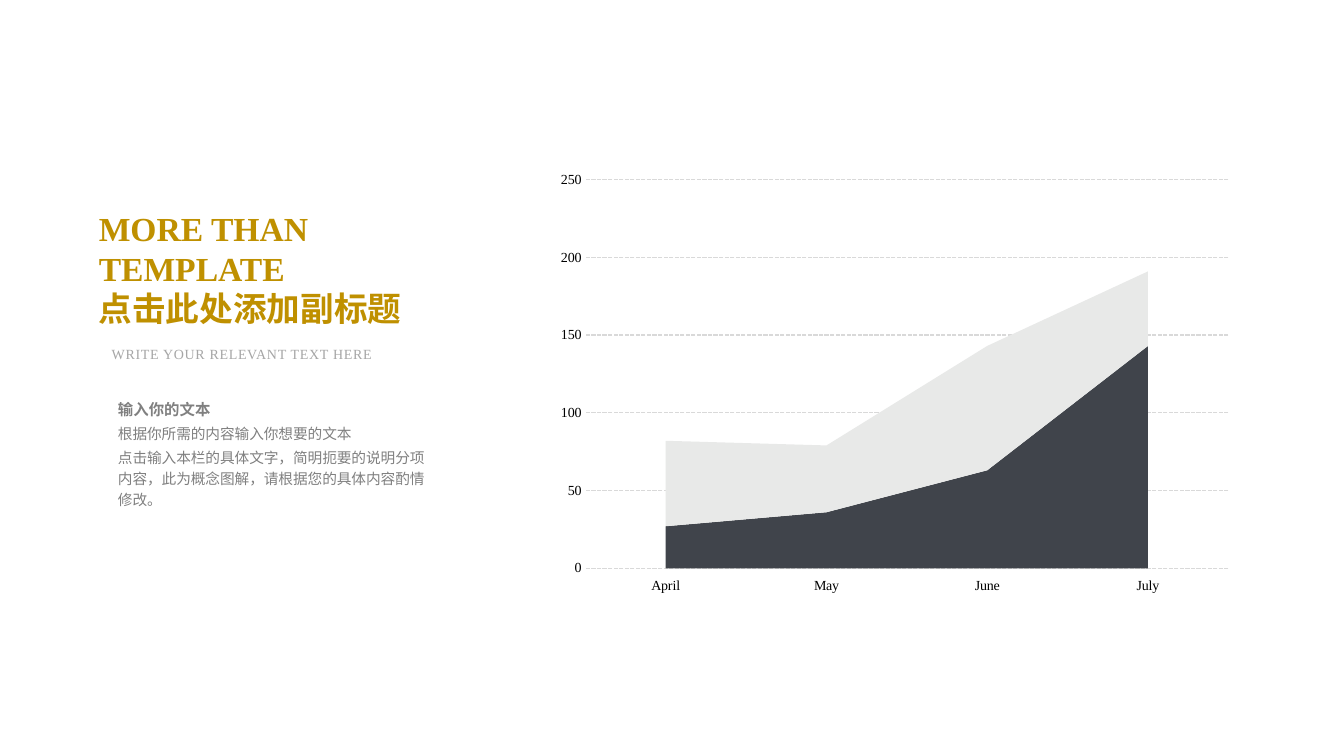
"""Build a slide with a headline, body text and a stacked area chart."""
from dataclasses import dataclass

from lxml.etree import SubElement
from pptx import Presentation
from pptx.chart.chart import Chart
from pptx.chart.data import CategoryChartData
from pptx.dml.color import RGBColor
from pptx.enum.chart import XL_CHART_TYPE, XL_TICK_LABEL_POSITION, XL_TICK_MARK
from pptx.enum.dml import MSO_LINE
from pptx.enum.text import MSO_AUTO_SIZE
from pptx.oxml.ns import qn
from pptx.slide import Slide
from pptx.util import Inches, Pt


@dataclass(frozen=True)
class Theme:
    """Colours, typeface and type sizes of the slide."""
    font: str = "Times New Roman"
    gold: str = "BF9000"
    body: str = "808080"
    pale: str = "A6A6A6"
    ink: str = "000000"
    grid: str = "D9D9D9"
    title_size: float = 24
    lead_size: float = 11
    body_size: float = 10.5
    small_size: float = 10


THEME = Theme()


@dataclass(frozen=True)
class Line:
    """One paragraph with its look."""
    text: str
    size: float
    color: str
    bold: bool = False
    space_before: float = 0
    line_spacing: float = 1
    tracking: int = 0


@dataclass(frozen=True)
class TextBlock:
    """A text box with its place, margins and paragraphs."""
    left: float
    top: float
    width: float
    height: float
    lines: tuple[Line, ...]
    margin_x: float = 0.1
    margin_y: float = 0.05
    wrap: bool = True


@dataclass(frozen=True)
class AreaSeries:
    """One layer of the stacked area chart."""
    name: str
    values: tuple[int, ...]
    color: str


BLOCKS = (
    TextBlock(1.01, 3.38, 2.93, 0.27, (
        Line("WRITE YOUR RELEVANT TEXT HERE", THEME.small_size, THEME.pale, tracking=50),
    ), wrap=False),
    TextBlock(0.85, 1.99, 4.03, 1.35, (
        Line("MORE THAN TEMPLATE", THEME.title_size, THEME.gold, True),
        Line("点击此处添加副标题", THEME.title_size, THEME.gold, True),
    ), 0.13, 0.07),
    TextBlock(1.01, 3.85, 3.42, 1.3, (
        Line("输入你的文本", THEME.lead_size, THEME.body, True, 0, 1.2),
        Line("根据你所需的内容输入你想要的文本", THEME.body_size, THEME.body, False, 2.1, 1.2),
        Line("点击输入本栏的具体文字，简明扼要的说明分项内容，此为概念图解，请根据您的具体内容酌情修改。",
             THEME.body_size, THEME.body, False, 2.1, 1.2),
    ), 0.16, 0.08),
)
MONTHS = ("April", "May", "June", "July")
SERIES = (
    AreaSeries("Series 1", (27, 36, 63, 143), "40444B"),
    AreaSeries("Series 2", (55, 43, 80, 48), "E8E9E8"),
)
PLOT_LAYOUT = {"x": 0.04, "y": 0.02, "w": 0.96, "h": 0.93}


def add_text(page: Slide, block: TextBlock) -> None:
    """Add one text box."""
    box = page.shapes.add_textbox(
        Inches(block.left), Inches(block.top), Inches(block.width), Inches(block.height))
    frame = box.text_frame
    frame.word_wrap = block.wrap
    frame.auto_size = MSO_AUTO_SIZE.SHAPE_TO_FIT_TEXT
    frame.margin_left = frame.margin_right = Inches(block.margin_x)
    frame.margin_top = frame.margin_bottom = Inches(block.margin_y)
    for index, line in enumerate(block.lines):
        para = frame.add_paragraph() if index else frame.paragraphs[0]
        span = para.add_run()
        span.text = line.text
        para.line_spacing = line.line_spacing
        if line.space_before:
            para.space_before = Pt(line.space_before)
        para.font.name = THEME.font
        para.font.size = Pt(line.size)
        para.font.bold = line.bold
        para.font.color.rgb = RGBColor.from_string(line.color)
        if line.tracking:
            span.font._element.set("spc", str(line.tracking))


def set_plot_layout(chart: Chart) -> None:
    """Fix the inner plot area and pad the categories at both ends."""
    plot_area = chart._chartSpace.find(".//" + qn("c:plotArea"))
    layout = plot_area.find(qn("c:layout"))
    if layout is None:
        layout = SubElement(plot_area, qn("c:layout"))
        plot_area.insert(0, layout)
    manual = SubElement(layout, qn("c:manualLayout"))
    settings = {"layoutTarget": "inner", "xMode": "edge", "yMode": "edge", **PLOT_LAYOUT}
    for name, value in settings.items():
        SubElement(manual, qn(f"c:{name}")).set("val", str(value))
    plot_area.find(".//" + qn("c:crossBetween")).set("val", "between")


def add_area_chart(page: Slide) -> None:
    """Add the stacked area chart."""
    data = CategoryChartData()
    data.categories = MONTHS
    for layer in SERIES:
        data.add_series(layer.name, layer.values)
    chart = page.shapes.add_chart(
        XL_CHART_TYPE.AREA_STACKED, Inches(5.54), Inches(1.7), Inches(6.65), Inches(4.19), data).chart
    chart.has_legend = False
    chart.has_title = False
    chart.font.name = THEME.font
    chart.font.size = Pt(THEME.small_size)
    chart.font.color.rgb = RGBColor.from_string(THEME.ink)
    chart.plots[0].vary_by_categories = False
    for layer, series in zip(SERIES, chart.plots[0].series):
        series.format.fill.solid()
        series.format.fill.fore_color.rgb = RGBColor.from_string(layer.color)
        series.format.line.fill.background()
    for axis in (chart.category_axis, chart.value_axis):
        axis.major_tick_mark = axis.minor_tick_mark = XL_TICK_MARK.NONE
        axis.format.line.fill.background()
    chart.category_axis.has_major_gridlines = False
    chart.category_axis.tick_label_position = XL_TICK_LABEL_POSITION.LOW
    values = chart.value_axis
    values.minimum_scale, values.maximum_scale, values.major_unit = 0, 250, 50
    values.has_major_gridlines = True
    grid = values.major_gridlines.format.line
    grid.color.rgb = RGBColor.from_string(THEME.grid)
    grid.width = Pt(1)
    grid.dash_style = MSO_LINE.SQUARE_DOT
    set_plot_layout(chart)


def main() -> None:
    """Create and save the deck."""
    deck = Presentation()
    deck.slide_width, deck.slide_height = Inches(13.33), Inches(7.5)
    page = deck.slides.add_slide(deck.slide_layouts[6])
    add_area_chart(page)
    for block in BLOCKS:
        add_text(page, block)
    deck.save("out.pptx")


if __name__ == "__main__":
    main()
